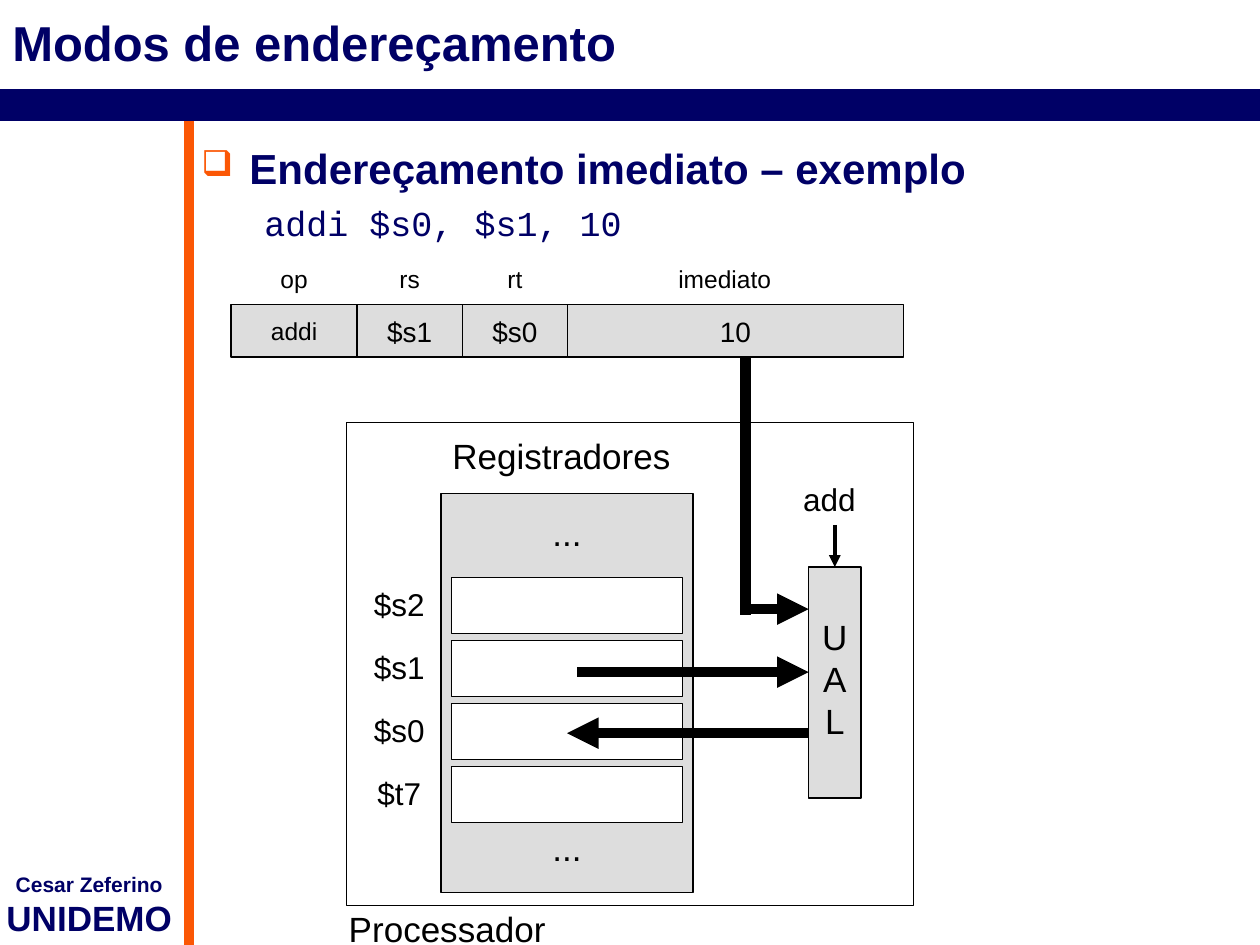
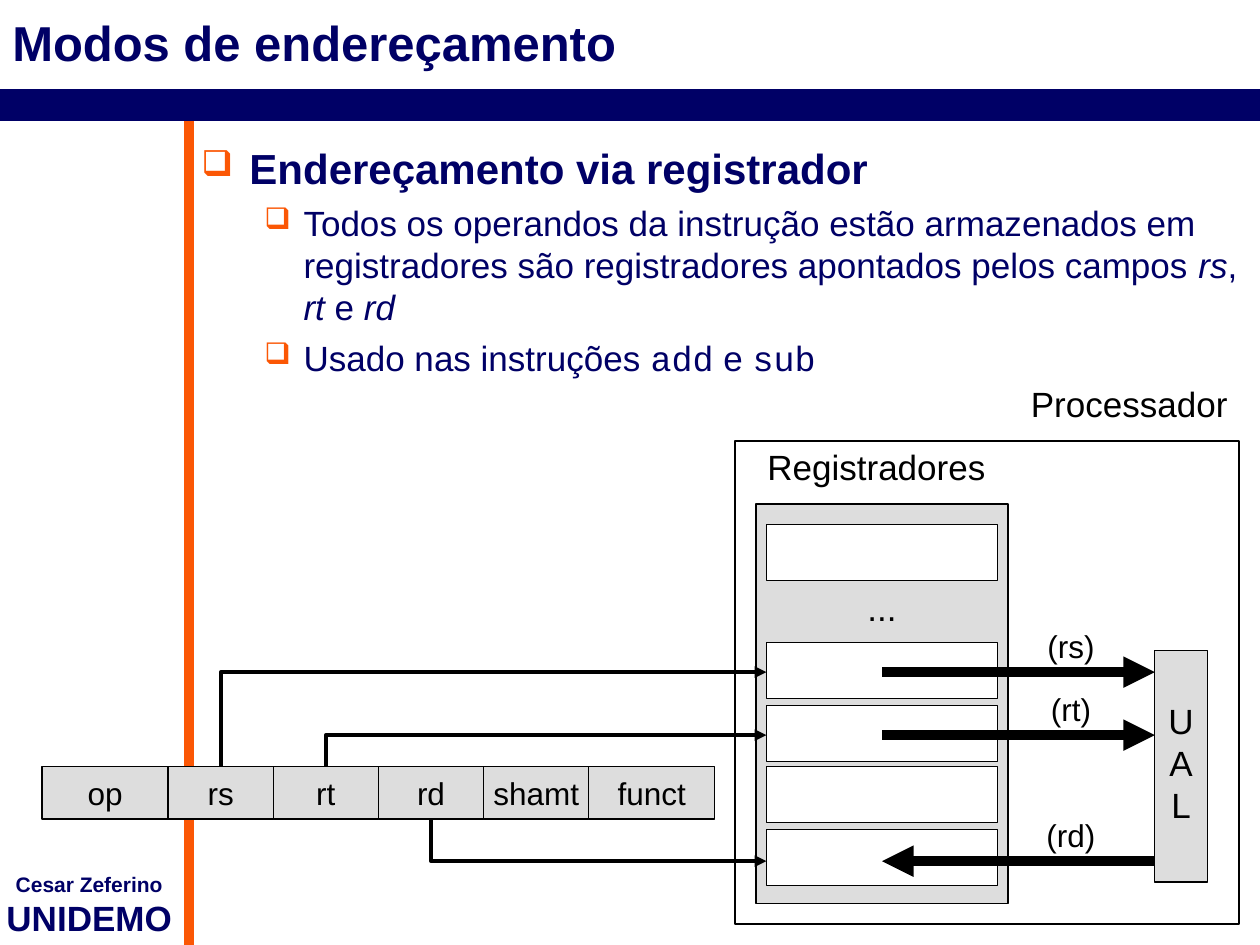
from dataclasses import dataclass
from itertools import accumulate

from lxml.etree import SubElement
from pptx import Presentation
from pptx.dml.color import RGBColor
from pptx.enum.shapes import MSO_CONNECTOR, MSO_SHAPE
from pptx.enum.text import MSO_ANCHOR, PP_ALIGN
from pptx.oxml.ns import qn
from pptx.util import Cm, Pt

NAVY, ORANGE, GREY, WHITE, BLACK = "000066", "FB5705", "DDDDDD", "FFFFFF", "000000"
SANS, MONO = "Arial", "Courier New"
FIELD_WIDTH, FIELD_HEIGHT = 2.12, 1.06
REGISTER_WIDTH, REGISTER_HEIGHT, REGISTER_PITCH = 4.66, 1.13, 1.27
BANK_WIDTH, BANK_HEIGHT, BANK_MARGIN = 5.08, 8.05, 0.21
ALU_WIDTH, ALU_HEIGHT, ALU_TEXT_DROP = 1.06, 4.66, 0.85
THICK, THIN = 6, 2.25


@dataclass(frozen=True)
class Span:
    text: str
    size: float
    color: str = BLACK
    font: str = SANS
    bold: bool = False
    italic: bool = False


@dataclass(frozen=True)
class Item:
    spans: tuple[Span, ...]
    level: int = 0
    bullet: bool = True


@dataclass(frozen=True)
class Area:
    left: float
    top: float
    width: float
    height: float

    def lengths(self) -> tuple:
        return Cm(self.left), Cm(self.top), Cm(self.width), Cm(self.height)


@dataclass(frozen=True)
class Field:
    text: str
    width: float = FIELD_WIDTH
    size: float = 18


@dataclass(frozen=True)
class Processor:
    frame: Area
    name: Area
    bank_left: float
    bank_top: float
    bank_name: Area
    register_tops: tuple[float, ...]
    dots_tops: tuple[float, ...]
    alu_left: float
    alu_top: float


@dataclass(frozen=True)
class Route:
    points: tuple[tuple[float, float], ...]
    weight: float = THICK
    arrow: bool = True
    color: str = BLACK


def rgb(color: str) -> RGBColor:
    return RGBColor.from_string(color)


def add_span(para, span: Span) -> None:
    run = para.add_run()
    run.text = span.text
    font = run.font
    font.name, font.size = span.font, Pt(span.size)
    font.bold, font.italic = span.bold, span.italic
    font.color.rgb = rgb(span.color)


def write(box, lines: list[Span], align=PP_ALIGN.CENTER, wrap: bool = False) -> None:
    frame = box.text_frame
    frame.word_wrap = wrap
    frame.vertical_anchor = MSO_ANCHOR.MIDDLE
    for index, line in enumerate(lines):
        para = frame.paragraphs[0] if index == 0 else frame.add_paragraph()
        para.alignment = align
        add_span(para, line)


def add_label(page, area: Area, *lines: str, size: float = 18) -> None:
    box = page.shapes.add_textbox(*area.lengths())
    write(box, [Span(line, size) for line in lines])


def add_box(page, area: Area, fill: str):
    box = page.shapes.add_shape(MSO_SHAPE.RECTANGLE, *area.lengths())
    box.shadow.inherit = False
    box.fill.solid()
    box.fill.fore_color.rgb = rgb(fill)
    box.line.color.rgb = rgb(BLACK)
    box.line.width = Pt(0.75)
    return box


def add_route(page, route: Route) -> None:
    points = [(Cm(x), Cm(y)) for x, y in route.points]
    if len(points) == 2:
        line = page.shapes.add_connector(MSO_CONNECTOR.STRAIGHT, *points[0], *points[1])
    else:
        builder = page.shapes.build_freeform(*points[0])
        builder.add_line_segments(points[1:], close=False)
        line = builder.convert_to_shape()
        line.fill.background()
    line.line.color.rgb = rgb(route.color)
    line.line.width = Pt(route.weight)
    properties = line.element.spPr
    if route.arrow:
        SubElement(properties.find(qn("a:ln")), qn("a:tailEnd"), type="triangle")
    SubElement(properties, qn("a:effectLst"))


def add_item(para, item: Item) -> None:
    margin, indent, space = ((0.97, 0.97, 24), (2.06, 0.79, 5))[item.level]
    para.space_before = Pt(space)
    properties = para._p.get_or_add_pPr()
    properties.set("marL", str(Cm(margin)))
    properties.set("indent", str(-Cm(indent)))
    if item.bullet:
        color = SubElement(properties, qn("a:buClr"))
        SubElement(color, qn("a:srgbClr"), val=ORANGE)
        SubElement(properties, qn("a:buSzPct"), val="85000")
        SubElement(properties, qn("a:buChar"), char="❑")
    else:
        SubElement(properties, qn("a:buNone"))
    for span in item.spans:
        add_span(para, span)


def start_page(deck, items: list[Item]):
    page = deck.slides.add_slide(deck.slide_layouts[6])
    add_route(page, Route(((3.81, 2.33), (3.81, 19.05)), 6, False, ORANGE))
    add_route(page, Route(((0, 2.12), (25.4, 2.12)), 18, False, NAVY))

    footer = page.shapes.add_textbox(*Area(0, 17.45, 3.6, 1.6).lengths())
    footer.text_frame.margin_left = footer.text_frame.margin_right = 0
    write(footer, [Span("Cesar Zeferino", 12, NAVY, bold=True),
                   Span("UNIDEMO", 20, NAVY, bold=True)])

    title = page.shapes.add_textbox(*Area(0, 0, 25.4, 1.69).lengths())
    write(title, [Span("Modos de endereçamento", 28, NAVY, bold=True)],
          PP_ALIGN.LEFT, True)

    body = page.shapes.add_textbox(*Area(3.81, 2.75, 21.59, 16.3).lengths()).text_frame
    body.word_wrap = True
    for index, item in enumerate(items):
        add_item(body.paragraphs[0] if index == 0 else body.add_paragraph(), item)
    return page


def add_fields(page, left: float, top: float, fields: list[Field]) -> list[float]:
    lefts = list(accumulate((field.width for field in fields), initial=left))
    for field, field_left in zip(fields, lefts):
        box = add_box(page, Area(field_left, top, field.width, FIELD_HEIGHT), GREY)
        write(box, [Span(field.text, field.size)])
    return [start + field.width / 2 for field, start in zip(fields, lefts)]


def add_processor(page, processor: Processor) -> None:
    add_box(page, processor.frame, WHITE)
    add_label(page, processor.name, "Processador", size=20)
    add_box(page, Area(processor.bank_left, processor.bank_top,
                       BANK_WIDTH, BANK_HEIGHT), GREY)
    add_label(page, processor.bank_name, "Registradores", size=20)
    register_left = processor.bank_left + BANK_MARGIN
    for top in processor.register_tops:
        add_box(page, Area(register_left, top, REGISTER_WIDTH, REGISTER_HEIGHT), WHITE)
    for top in processor.dots_tops:
        add_label(page, Area(register_left, top, REGISTER_WIDTH, REGISTER_HEIGHT),
                  "...", size=20)
    add_box(page, Area(processor.alu_left, processor.alu_top, ALU_WIDTH, ALU_HEIGHT), GREY)
    add_label(page, Area(processor.alu_left, processor.alu_top + ALU_TEXT_DROP,
                         ALU_WIDTH, 2.79), *"UAL", size=20)


def heading(text: str) -> Item:
    return Item((Span(text, 24, NAVY, bold=True),))


def plain(text: str, font: str = SANS, italic: bool = False) -> Span:
    return Span(text, 20, NAVY, font, italic=italic)


def add_immediate_page(deck) -> None:
    page = start_page(deck, [
        heading("Endereçamento imediato – exemplo"),
        Item((plain("addi $s0, $s1, 10", MONO),), 1, False),
    ])
    register_tops = tuple(11.64 + REGISTER_PITCH * row for row in range(4))
    add_processor(page, Processor(
        frame=Area(6.99, 8.52, 11.43, 9.74), name=Area(6.78, 18.16, 4.47, 1.13),
        bank_left=8.89, bank_top=9.95, bank_name=Area(8.87, 8.62, 4.9, 1.13),
        register_tops=register_tops, dots_tops=(10.16, 16.51),
        alu_left=16.3, alu_top=11.43))
    for name, top in zip(("$s2", "$s1", "$s0", "$t7"), register_tops):
        add_label(page, Area(6.99, top, FIELD_WIDTH, FIELD_HEIGHT), name)
    add_label(page, Area(15.66, 9.53, FIELD_WIDTH, FIELD_HEIGHT), "add")

    for route in (
        Route(((11.64, 13.55), (16.3, 13.55))),
        Route(((15.03, 12.28), (16.3, 12.28))),
        Route(((16.3, 14.78), (11.43, 14.78))),
        Route(((16.83, 10.58), (16.83, 11.43)), THIN),
        Route(((15.03, 6.99), (15.03, 12.4)), arrow=False),
    ):
        add_route(page, route)

    add_fields(page, 4.66, 6.14, [Field("addi", 2.54, 14), Field("$s1", size=16),
                                  Field("$s0", size=16), Field("10", 6.77, 16)])
    for name, center, width in (("op", 5.93, FIELD_WIDTH), ("rs", 8.26, FIELD_WIDTH),
                                ("rt", 10.38, FIELD_WIDTH), ("imediato", 14.61, 4)):
        add_label(page, Area(center - width / 2, 5.08, width, FIELD_HEIGHT),
                  name, size=14)


def add_register_page(deck) -> None:
    page = start_page(deck, [
        heading("Endereçamento via registrador"),
        Item((plain("Todos os operandos da instrução estão armazenados em registradores "
                    "são registradores apontados pelos campos "),
              plain("rs", italic=True), plain(", "), plain("rt", italic=True),
              plain(" e "), plain("rd", italic=True)), 1),
        Item((plain("Usado nas instruções "), plain("add", MONO),
              plain(" e "), plain("sub", MONO)), 1),
    ])
    field_top = 15.45
    centers = add_fields(page, 0.85, field_top, [
        Field("op", 2.54), Field("rs"), Field("rt"), Field("rd"),
        Field("shamt"), Field("funct", 2.54)])
    add_processor(page, Processor(
        frame=Area(14.82, 8.89, 10.16, 9.74), name=Area(20.53, 7.57, 4.47, 1.13),
        bank_left=15.24, bank_top=10.16, bank_name=Area(15.22, 8.83, 4.9, 1.13),
        register_tops=(10.58, 12.96, 14.22, 15.45, 16.72), dots_tops=(11.68,),
        alu_left=23.28, alu_top=13.12))

    operands = (("(rs)", 13.55, False), ("(rt)", 14.82, False), ("(rd)", 17.36, True))
    for center, (name, level, result) in zip(centers[1:4], operands):
        ends = ((17.78, level), (23.28, level))
        add_route(page, Route(ends[::-1] if result else ends))
        add_label(page, Area(20.53, level - FIELD_HEIGHT, FIELD_WIDTH, FIELD_HEIGHT), name)
        start = field_top + FIELD_HEIGHT if result else field_top
        add_route(page, Route(((center, start), (center, level), (15.45, level)), THIN))


def main() -> None:
    deck = Presentation()
    deck.slide_width, deck.slide_height = Cm(25.4), Cm(19.05)
    add_immediate_page(deck)
    add_register_page(deck)
    deck.save("out.pptx")


if __name__ == "__main__":
    main()
